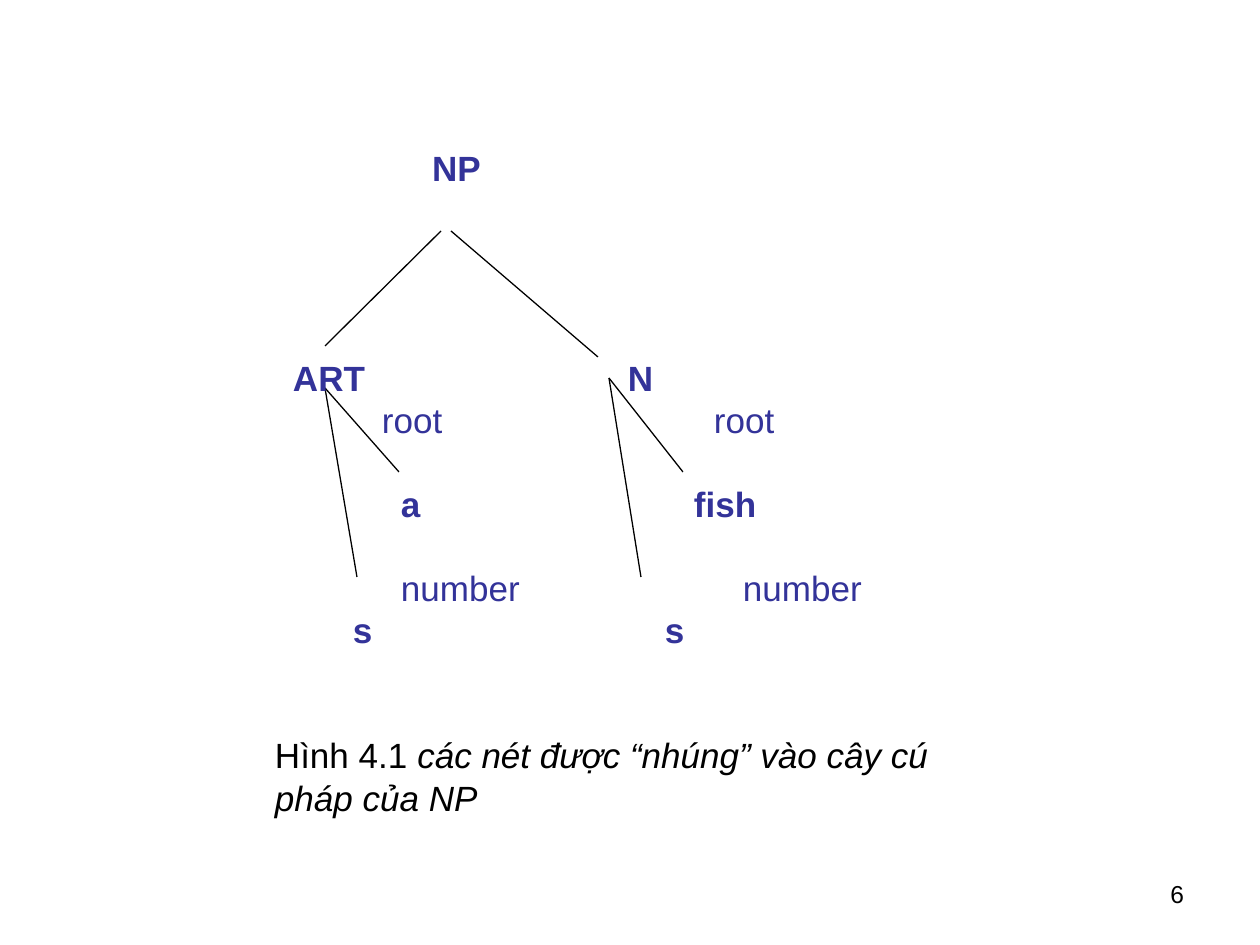
from lxml.etree import SubElement
from pptx import Presentation
from pptx.dml.color import RGBColor
from pptx.enum.shapes import MSO_CONNECTOR
from pptx.enum.text import PP_ALIGN
from pptx.oxml.ns import qn
from pptx.util import Emu, Pt

BLUE = RGBColor(0x33, 0x33, 0x99)
BLACK = RGBColor(0, 0, 0)
ROW = 42
PLAIN = {"name": "Arial", "size": Pt(20), "bold": False, "italic": False}
BOLD = PLAIN | {"bold": True}
SLANT = PLAIN | {"italic": True}
SMALL = PLAIN | {"size": Pt(14)}


def px(num):
    """Turn pixels into EMU."""
    return Emu(round(num * 914400 / 126))


def text(slide, box, runs, color=BLUE, align=PP_ALIGN.LEFT):
    """Place one paragraph of styled runs in a box without margins."""
    frame = slide.shapes.add_textbox(*map(px, box)).text_frame
    frame.word_wrap = True
    for side in ("left", "top", "right", "bottom"):
        setattr(frame, f"margin_{side}", 0)
    para = frame.paragraphs[0]
    para.alignment = align
    para.line_spacing = Pt(24)
    for words, style in runs:
        run = para.add_run()
        run.text = words
        run.font.color.rgb = color
        for key, value in style.items():
            setattr(run.font, key, value)


def line(slide, start, end):
    """Draw a thin black branch."""
    link = slide.shapes.add_connector(MSO_CONNECTOR.STRAIGHT, *map(px, start + end))
    link.line.color.rgb = BLACK
    link.line.width = Pt(0.75)
    SubElement(link._element.spPr, qn("a:effectLst"))


def root(slide, box):
    """Draw the top node and its two branches."""
    left, top, wide, high = box
    text(slide, (left + 107, top, 80, ROW), [("NP", BOLD)])
    line(slide, (left + 116, top + 85), (left, top + 200))
    line(slide, (left + 126, top + 85), (left + wide, top + high))


def node(slide, box, labels):
    """Draw a word class with its branches and feature labels."""
    left, top, wide, high = box
    line(slide, (left, top), (left + wide, 472))
    line(slide, (left, top), (left + 32, top + high))
    for words, dx, row, style in labels:
        text(slide, (left + dx, 146 + ROW * row, 150, ROW), [(words, style)])


def note(slide, box):
    """Write the caption."""
    runs = [("Hình 4.1 ", PLAIN), ("các nét được “nhúng” vào cây cú pháp của NP", SLANT)]
    text(slide, box, runs, BLACK)


def foot(slide, box):
    """Write the page number."""
    text(slide, box, [("6", SMALL)], BLACK, PP_ALIGN.RIGHT)


def main():
    """Build and save the slide."""
    deck = Presentation()
    deck.slide_width, deck.slide_height = px(1260), px(945)
    slide = deck.slides.add_slide(deck.slide_layouts[6])
    root(slide, (325, 146, 273, 211))
    node(slide, (325, 388, 74, 189), [
        ("ART", -32, 5, BOLD), ("root", 57, 6, PLAIN), ("a", 76, 8, BOLD),
        ("number", 76, 10, PLAIN), ("s", 28, 11, BOLD)])
    node(slide, (609, 378, 74, 199), [
        ("N", 19, 5, BOLD), ("root", 105, 6, PLAIN), ("fish", 85, 8, BOLD),
        ("number", 134, 10, PLAIN), ("s", 56, 11, BOLD)])
    note(slide, (275, 734, 668, 84))
    foot(slide, (903, 866, 281, 52))
    deck.save("out.pptx")


if __name__ == "__main__":
    main()
